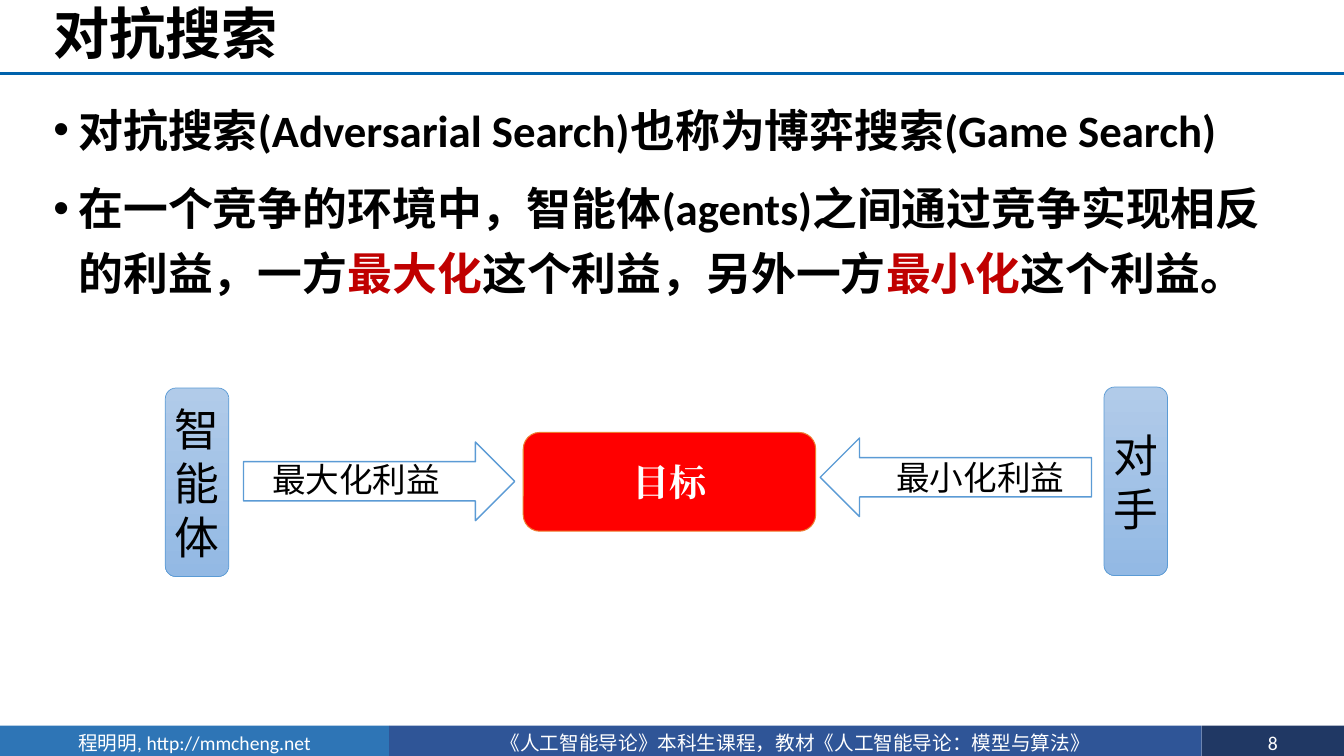
from lxml.etree import SubElement
from pptx import Presentation
from pptx.dml.color import RGBColor
from pptx.enum.shapes import MSO_CONNECTOR as Connector, MSO_SHAPE as Shape
from pptx.enum.text import MSO_ANCHOR as Anchor, PP_ALIGN as Align
from pptx.oxml.ns import qn
from pptx.util import Inches, Pt

BLACK = RGBColor(0x00, 0x00, 0x00)
WHITE = RGBColor(0xFF, 0xFF, 0xFF)
RED = RGBColor(0xFF, 0x00, 0x00)
DARK_RED = RGBColor(0xC0, 0x00, 0x00)
RULE_BLUE = RGBColor(0x00, 0x62, 0xAC)
AUTHOR_BLUE = RGBColor(0x2E, 0x75, 0xB6)
COURSE_BLUE = RGBColor(0x2F, 0x55, 0x97)
PAGE_NAVY = RGBColor(0x20, 0x38, 0x64)
EDGE_BLUE = RGBColor(0x5B, 0x9B, 0xD5)
EDGE_ORANGE = RGBColor(0xED, 0x7D, 0x31)
PLAYER_TOP = RGBColor(0xB1, 0xCB, 0xE9)
PLAYER_BOTTOM = RGBColor(0x93, 0xB9, 0xE4)

HEADING = dict(name="Calibri", size=Pt(40), bold=True)
BODY = dict(name="Calibri", size=Pt(32), bold=True)
FOOTER = dict(name="Calibri", size=Pt(14))
PLAYER = dict(name="Noto Sans CJK SC", size=Pt(32))
GOAL = dict(name="Times New Roman", size=Pt(26.6), bold=True)
AIM = dict(name="Noto Sans CJK SC", size=Pt(24))


def inches(box):
    return [Inches(value) for value in box]


def add_run(paragraph, text, style, color):
    run = paragraph.add_run()
    run.text = text
    for key, value in style.items():
        setattr(run.font, key, value)
    run.font.color.rgb = color
    SubElement(run.font._element, qn("a:ea")).set("typeface", style["name"])


def write_lines(shape, lines, style, color, align=Align.CENTER, spacing=None,
                anchor=Anchor.MIDDLE, wrap=True):
    frame = shape.text_frame
    frame.word_wrap = wrap
    frame.vertical_anchor = anchor
    for index, line in enumerate(lines):
        paragraph = frame.paragraphs[0] if index == 0 else frame.add_paragraph()
        paragraph.alignment = align
        paragraph.line_spacing = spacing
        add_run(paragraph, line, style, color)


def add_panel(slide, kind, box, fill, edge=None, width=0.0):
    panel = slide.shapes.add_shape(kind, *inches(box))
    panel.shadow.inherit = False
    if isinstance(fill, RGBColor):
        panel.fill.solid()
        panel.fill.fore_color.rgb = fill
    else:
        panel.fill.gradient()
        panel.fill.gradient_angle = 270
        for stop, color, position in zip(panel.fill.gradient_stops, fill, (0, 1)):
            stop.color.rgb = color
            stop.position = position
    if edge is None:
        panel.line.fill.background()
    else:
        panel.line.color.rgb = edge
        panel.line.width = Pt(width)
    return panel


def add_footer(slide, box):
    left, top, width, height = box
    author_end, page_start = left + 3.86, left + 11.92
    bands = [
        (left, author_end, AUTHOR_BLUE, "程明明, http://mmcheng.net"),
        (author_end, page_start, COURSE_BLUE,
         "《人工智能导论》本科生课程，教材《人工智能导论：模型与算法》"),
        (page_start, left + width, PAGE_NAVY, "8"),
    ]
    for start, end, fill, text in bands:
        band = add_panel(slide, Shape.RECTANGLE, (start, top, end - start, height), fill)
        write_lines(band, [text], FOOTER, WHITE)


def add_heading(slide, box):
    left, top, width, height = box
    bottom, right = Inches(top + height), Inches(left + width)
    rule = slide.shapes.add_connector(Connector.STRAIGHT, 0, bottom, right, bottom)
    rule.line.color.rgb = RULE_BLUE
    rule.line.width = Pt(2)
    SubElement(rule._element.spPr, qn("a:effectLst"))
    heading = slide.shapes.add_textbox(*inches(box))
    write_lines(heading, ["对抗搜索"], HEADING, BLACK, Align.LEFT, 0.9)


def add_definitions(slide, box):
    points = [
        [("对抗搜索(Adversarial Search)也称为博弈搜索(Game Search)", BLACK)],
        [("在一个竞争的环境中，智能体(agents)之间通过竞争实现相反的利益，一方", BLACK),
         ("最大化", DARK_RED), ("这个利益，另外一方", BLACK),
         ("最小化", DARK_RED), ("这个利益。", BLACK)],
    ]
    frame = slide.shapes.add_textbox(*inches(box)).text_frame
    frame.word_wrap = True
    for index, point in enumerate(points):
        paragraph = frame.paragraphs[0] if index == 0 else frame.add_paragraph()
        paragraph.line_spacing = 1.2
        if index:
            paragraph.space_before = Pt(10)
        properties = paragraph._p.get_or_add_pPr()
        properties.set("marL", str(Inches(0.25)))
        properties.set("indent", str(-Inches(0.25)))
        SubElement(properties, qn("a:buFont")).set("typeface", "Arial")
        SubElement(properties, qn("a:buChar")).set("char", "•")
        for text, color in point:
            add_run(paragraph, text, BODY, color)


def add_player(slide, box, name):
    player = add_panel(slide, Shape.ROUNDED_RECTANGLE, box,
                       (PLAYER_TOP, PLAYER_BOTTOM), EDGE_BLUE, 0.5)
    player.text_frame.margin_top = player.text_frame.margin_bottom = 0
    write_lines(player, name, PLAYER, BLACK, spacing=Pt(38.5), wrap=False)


def add_aim(slide, box, rotation, text, text_box):
    arrow = add_panel(slide, Shape.UP_ARROW, box, WHITE, EDGE_BLUE, 1)
    arrow.rotation = rotation
    label = slide.shapes.add_textbox(*inches(text_box))
    write_lines(label, [text], AIM, BLACK, Align.LEFT, Pt(28.8), Anchor.TOP, False)


def add_contest(slide, box):
    left, top, width, height = box
    player_width, player_height = 0.63, height - 0.01
    add_player(slide, (left, top + 0.01, player_width, player_height), "智能体")
    add_player(slide, (left + width - player_width, top, player_width, player_height), "对手")
    goal = add_panel(slide, Shape.ROUNDED_RECTANGLE, (left + 3.55, top + 0.45, 2.9, 0.98),
                     RED, EDGE_ORANGE, 0.75)
    write_lines(goal, ["目标"], GOAL, WHITE, wrap=False)
    aims = [
        (1.73, -0.41, 90, "最大化利益", 0.96, 0.66),
        (7.45, -0.45, 270, "最小化利益", 7.15, 0.64),
    ]
    for arrow_x, arrow_y, rotation, text, label_x, label_y in aims:
        add_aim(slide, (left + arrow_x, top + arrow_y, 0.78, 2.69), rotation, text,
                (left + label_x, top + label_y, 1.88, 0.5))


def main():
    deck = Presentation()
    deck.slide_width, deck.slide_height = inches((13.33, 7.5))
    slide = deck.slides.add_slide(deck.slide_layouts[6])
    add_footer(slide, (0, 7.2, 13.33, 0.34))
    add_heading(slide, (0.43, 0, 12.9, 0.73))
    add_definitions(slide, (0.43, 0.86, 12.42, 6.46))
    add_contest(slide, (1.64, 3.84, 9.94, 1.88))
    deck.save("out.pptx")


if __name__ == "__main__":
    main()
